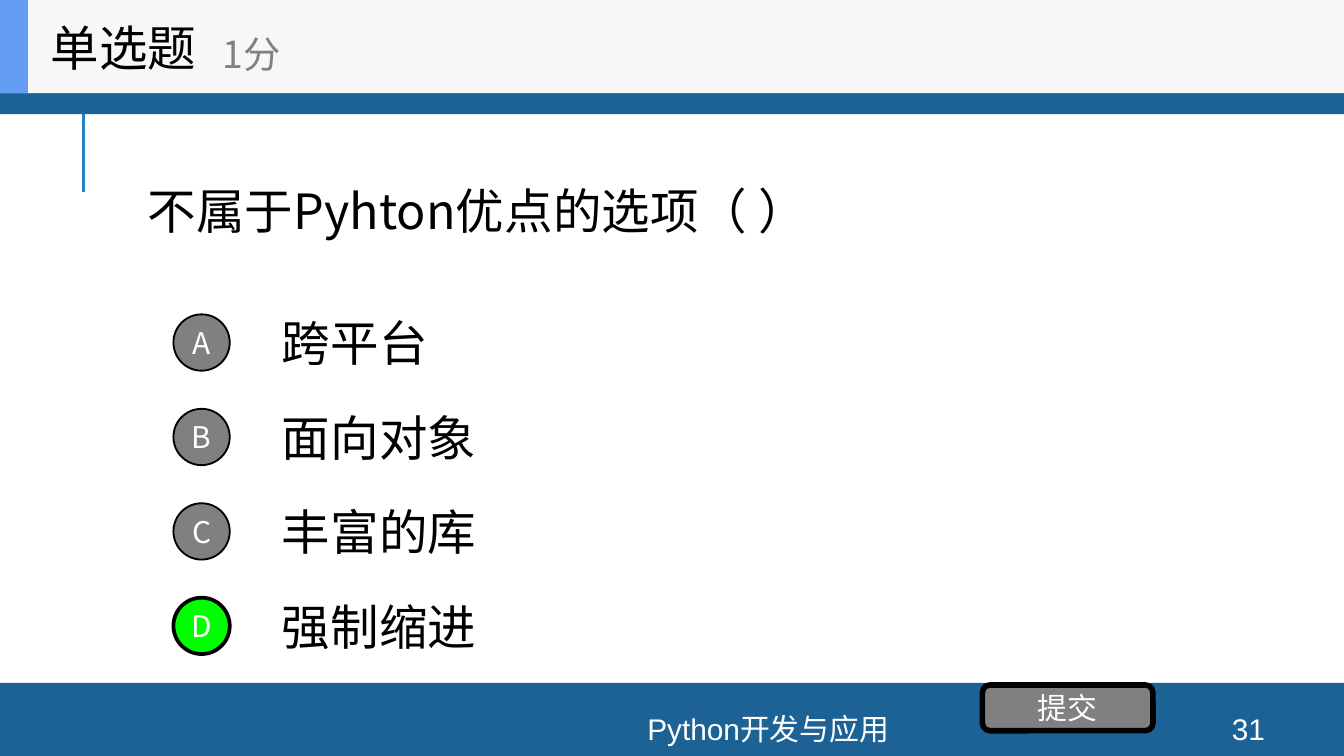
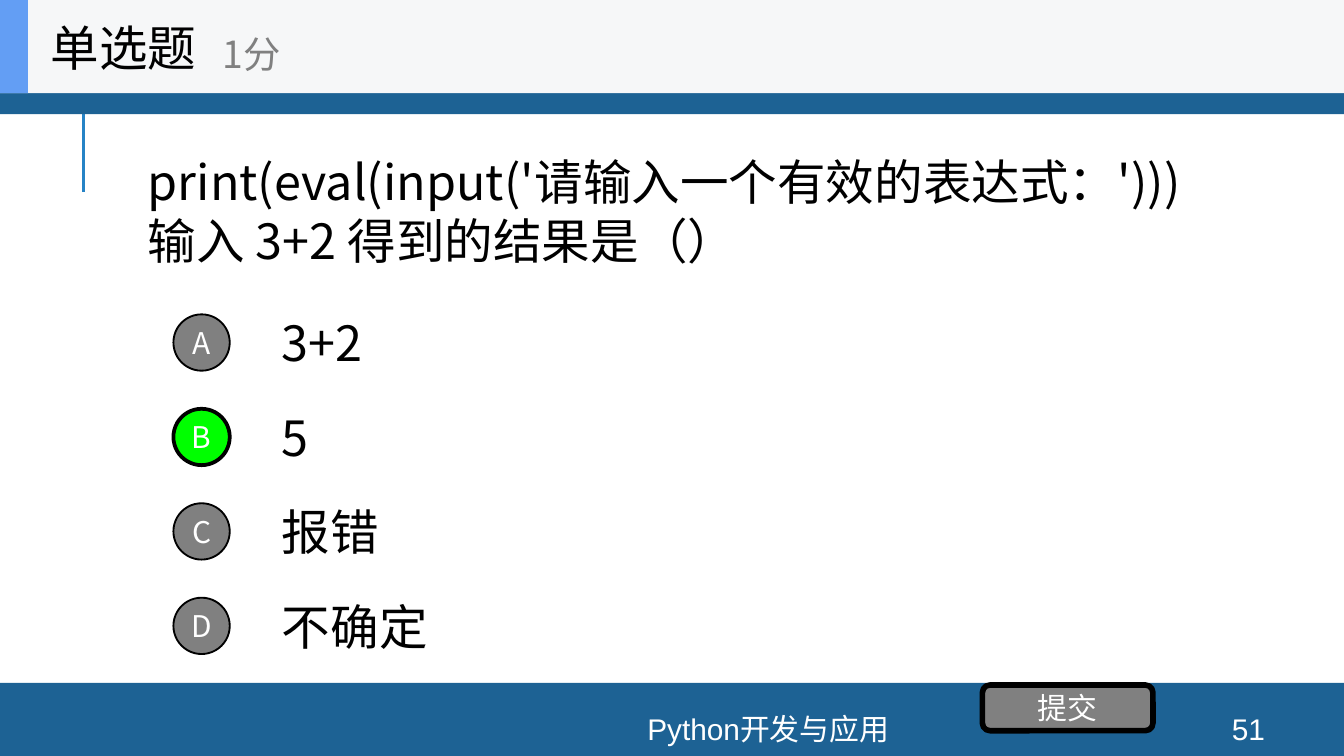
from dataclasses import dataclass

from lxml import etree
from pptx import Presentation
from pptx import util as u
from pptx.dml.color import RGBColor
from pptx.enum import shapes, text
from pptx.oxml.ns import qn


@dataclass(frozen=True)
class Theme:
    band: str = "1D6294"
    rule: str = "2683C6"
    header: str = "F6F7F8"
    accent: str = "639EF4"
    ink: str = "000000"
    grey: str = "808080"
    correct: str = "00FF00"
    light: str = "FFFFFF"
    main_font: str = "Noto Sans CJK SC"
    footer_font: str = "Arial"
    main_size: float = 26
    score_size: float = 20
    label_size: float = 16


@dataclass(frozen=True)
class Box:
    left: float
    top: float
    width: float
    height: float

    def inner(self, left, top, width, height):
        return Box(self.left + left, self.top + top, width, height)

    def lengths(self):
        return [u.Pt(v) for v in (self.left, self.top, self.width, self.height)]


THEME = Theme()
PAGE = Box(0, 0, 720, 405)
HEADER = Box(0, 0, 720, 50)
FOOTER = Box(0, 365.8, 720, 39.2)
QUESTION = Box(72, 49.4, 576, 126.7)
OPTIONS = Box(92.9, 164.4, 555.1, 190)
OPTION_PITCH = 50.6

QUESTIONS = [
    (["不属于Pyhton优点的选项（ ）"],
     ["跨平台", "面向对象", "丰富的库", "强制缩进"], "D", "31"),
    (["print(eval(input('请输入一个有效的表达式：')))", "输入 3+2 得到的结果是（）"],
     ["3+2", "5", "报错", "不确定"], "B", "51"),
]


def write(shape, lines, size=THEME.main_size, color=THEME.ink, font=THEME.main_font,
          centred=False):
    frame = shape.text_frame
    frame.text = "\n".join(lines)
    frame.word_wrap = True
    frame.auto_size = text.MSO_AUTO_SIZE.NONE
    frame.vertical_anchor = text.MSO_ANCHOR.MIDDLE
    if centred:
        frame.margin_left = frame.margin_right = 0
        frame.margin_top = frame.margin_bottom = 0
    for para in frame.paragraphs:
        para.alignment = text.PP_ALIGN.CENTER if centred else text.PP_ALIGN.LEFT
        para.line_spacing = 1.0
        para.space_before = u.Pt(0)
        if shape.is_placeholder:
            props = para._p.get_or_add_pPr()
            props.set("marL", "0")
            props.set("indent", "0")
            etree.SubElement(props, qn("a:buNone"))
        para.font.size = u.Pt(size)
        para.font.color.rgb = RGBColor.from_string(color)
        para.font.name = font
        east_asian = etree.SubElement(para.font._rPr, qn("a:ea"))
        east_asian.set("typeface", THEME.main_font)


def add_label(page, box, words, **style):
    label = page.shapes.add_textbox(*box.lengths())
    write(label, [words], **style)


def add_block(page, box, fill, kind=shapes.MSO_SHAPE.RECTANGLE, line=None):
    block = page.shapes.add_shape(kind, *box.lengths())
    block.shadow.inherit = False
    block.fill.solid()
    block.fill.fore_color.rgb = RGBColor.from_string(fill)
    if line:
        block.line.color.rgb = RGBColor.from_string(THEME.ink)
        block.line.width = u.Pt(line)
    else:
        block.line.fill.background()
    return block


def add_button(page, box, kind, fill, line, words):
    button = add_block(page, box, fill, kind, line)
    write(button, [words], THEME.label_size, THEME.light, centred=True)


def fill_placeholder(page, holder, box, lines):
    page.shapes._spTree.append(holder._element)
    holder.left, holder.top, holder.width, holder.height = box.lengths()
    write(holder, lines)


def draw_frame(page, box):
    rule = page.shapes.add_connector(
        shapes.MSO_CONNECTOR.STRAIGHT,
        u.Pt(box.left + 44.8), u.Pt(box.top + 103), u.Pt(box.left + 44.8), u.Pt(box.top + 49))
    rule.line.color.rgb = RGBColor.from_string(THEME.rule)
    rule.line.width = u.Pt(1.5)
    etree.SubElement(rule._element.spPr, qn("a:effectLst"))
    add_block(page, box.inner(0, -2.2, box.width, 63.4), THEME.band)


def draw_footer(page, box, number):
    add_block(page, box, THEME.band)
    style = dict(size=THEME.label_size, color=THEME.light, font=THEME.footer_font, centred=True)
    add_label(page, box.inner(188, 16.2, 447, 16.6), "Python开发与应用", **style)
    add_label(page, box.inner(640, 16.2, 57.6, 16.6), number, **style)
    add_button(page, box.inner(526.3, 1.2, 91.4, 24.5),
               shapes.MSO_SHAPE.ROUNDED_RECTANGLE, THEME.grey, 3, "提交")


def draw_header(page, box):
    add_block(page, box, THEME.header)
    add_block(page, box.inner(0, 0, 15, box.height), THEME.accent)
    fill_placeholder(page, page.shapes.title, box.inner(20, 0.3, 150, box.height), ["单选题"])
    add_label(page, box.inner(112.3, 8.6, 180, 40.3), "1分",
              size=THEME.score_size, color=THEME.grey)


def draw_options(page, box, options, answer):
    for row, (letter, option) in enumerate(zip("ABCD", options)):
        top = row * OPTION_PITCH
        add_label(page, box.inner(51.1, top, 504, 38.2), option)
        chosen = letter == answer
        add_button(page, box.inner(0, top + 4, 30.2, 30.2), shapes.MSO_SHAPE.OVAL,
                   THEME.correct if chosen else THEME.grey, 2 if chosen else 1, letter)


def add_question_page(deck, question, options, answer, number):
    page = deck.slides.add_slide(deck.slide_layouts[1])
    draw_frame(page, PAGE)
    draw_footer(page, FOOTER, number)
    fill_placeholder(page, page.placeholders[1], QUESTION, question)
    draw_options(page, OPTIONS, options, answer)
    draw_header(page, HEADER)


def main():
    deck = Presentation()
    deck.slide_width, deck.slide_height = u.Pt(PAGE.width), u.Pt(PAGE.height)
    for entry in QUESTIONS:
        add_question_page(deck, *entry)
    deck.save("out.pptx")


if __name__ == "__main__":
    main()
